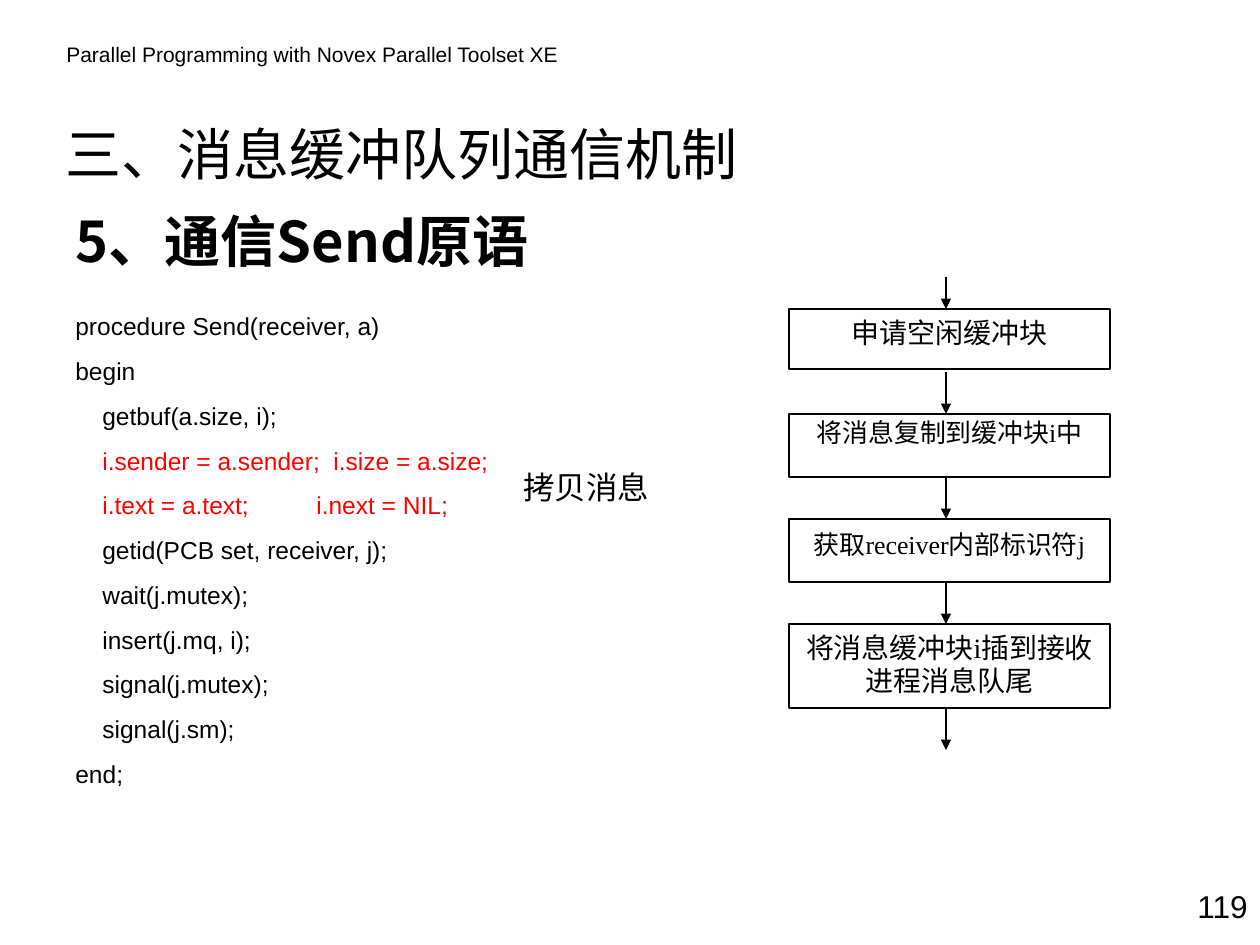
from dataclasses import dataclass
from typing import Optional

from lxml.etree import SubElement
from pptx import Presentation
from pptx.dml.color import RGBColor
from pptx.enum.shapes import MSO_CONNECTOR, MSO_SHAPE
from pptx.enum.text import MSO_ANCHOR, PP_ALIGN
from pptx.oxml.ns import qn
from pptx.util import Emu, Pt

PX_PER_INCH = 126
BLACK, WHITE, RED = "000000", "FFFFFF", "FF0000"
SANS, SERIF, CJK = "Arial", "Times New Roman", "Noto Sans CJK SC"

# Flowchart grid
STEP_LEFT, STEP_WIDTH, STEP_TOP, STEP_PITCH = 789, 321, 309, 105
ARROW_X, ARROW_LENGTH = 946, 42


@dataclass
class Label:
    text: str
    left: int
    top: int
    width: int
    height: int
    size: float
    font: str = SANS
    bold: bool = False
    before: float = 0
    align: PP_ALIGN = PP_ALIGN.LEFT
    anchor: MSO_ANCHOR = MSO_ANCHOR.TOP


@dataclass
class CodeLine:
    text: str
    color: str = BLACK
    stops: tuple[int, ...] = (27,)


@dataclass
class Step:
    text: str
    height: int
    size: float
    spacing: float = 1.0
    fill: Optional[str] = WHITE


LABELS = [
    Label("Parallel Programming with Novex Parallel Toolset XE", 54, 35, 517, 38, 12),
    Label("三、消息缓冲队列通信机制", 53, 106, 714, 95, 32, CJK, anchor=MSO_ANCHOR.MIDDLE),
    Label("5、通信Send原语", 63, 200, 1166, 116, 32, CJK, bold=True, before=8),
    Label("119", 1147, 881, 113, 50, 18, before=11.2, align=PP_ALIGN.RIGHT),
    Label("拷贝消息", 511, 462, 228, 50, 18),
]

CODE = [
    CodeLine("procedure Send(receiver, a)"),
    CodeLine("begin"),
    CodeLine("\tgetbuf(a.size, i);"),
    CodeLine("\ti.sender = a.sender;\ti.size = a.size;", RED, (27, 258)),
    CodeLine("\ti.text = a.text;\ti.next = NIL;", RED, (27, 241)),
    CodeLine("\tgetid(PCB set, receiver, j);"),
    CodeLine("\twait(j.mutex);"),
    CodeLine("\tinsert(j.mq, i);"),
    CodeLine("\tsignal(j.mutex);"),
    CodeLine("\tsignal(j.sm);"),
    CodeLine("end;"),
]

STEPS = [
    Step("申请空闲缓冲块", 60, 16),
    Step("将消息复制到缓冲块i中", 63, 14.8, 0.9),
    Step("获取receiver内部标识符j", 63, 14.8, 1.1, None),
    Step("将消息缓冲块i插到接收进程消息队尾", 84, 16),
]


def px(length: int) -> Emu:
    return Emu(round(length * 914400 / PX_PER_INCH))


def rgb(color: str) -> RGBColor:
    return RGBColor.from_string(color)


def add_span(para, text: str, size: float, font: str, color: str = BLACK, bold: bool = False) -> None:
    span = para.add_run()
    span.text = text
    span.font.size = Pt(size)
    span.font.name = font
    span.font.bold = bold
    span.font.color.rgb = rgb(color)
    SubElement(span.font._element, qn("a:ea"), typeface=CJK)


def add_text_box(page, left: int, top: int, width: int, height: int):
    box = page.shapes.add_textbox(px(left), px(top), px(width), px(height))
    box.text_frame.word_wrap = True
    return box.text_frame


def draw_label(page, label: Label) -> None:
    frame = add_text_box(page, label.left, label.top, label.width, label.height)
    frame.vertical_anchor = label.anchor
    para = frame.paragraphs[0]
    para.alignment = label.align
    para.space_before = Pt(label.before)
    add_span(para, label.text, label.size, label.font, bold=label.bold)


def draw_code(page, lines: list[CodeLine]) -> None:
    frame = add_text_box(page, 63, 305, 756, 490)
    for index, line in enumerate(lines):
        para = frame.add_paragraph() if index else frame.paragraphs[0]
        para.space_before = Pt(8.8)
        tabs = SubElement(para._p.get_or_add_pPr(), qn("a:tabLst"))
        for stop in line.stops:
            SubElement(tabs, qn("a:tab"), pos=str(px(stop)), algn="l")
        add_span(para, line.text, 14, SANS, line.color)


def draw_step(page, step: Step, top: int) -> None:
    box = page.shapes.add_shape(
        MSO_SHAPE.RECTANGLE, px(STEP_LEFT), px(top), px(STEP_WIDTH), px(step.height))
    box.shadow.inherit = False
    if step.fill:
        box.fill.solid()
        box.fill.fore_color.rgb = rgb(step.fill)
    else:
        box.fill.background()
    box.line.color.rgb = rgb(BLACK)
    box.line.width = Pt(0.75)
    frame = box.text_frame
    frame.word_wrap = True
    frame.vertical_anchor = MSO_ANCHOR.TOP
    para = frame.paragraphs[0]
    para.alignment = PP_ALIGN.CENTER
    para.line_spacing = step.spacing
    add_span(para, step.text, step.size, SERIF)


def draw_arrow(page, start: int, end: int) -> None:
    arrow = page.shapes.add_connector(
        MSO_CONNECTOR.STRAIGHT, px(ARROW_X), px(start), px(ARROW_X), px(end))
    arrow.line.color.rgb = rgb(BLACK)
    arrow.line.width = Pt(0.75)
    SubElement(arrow.line._get_or_add_ln(), qn("a:tailEnd"), type="triangle")
    SubElement(arrow._element.spPr, qn("a:effectLst"))


def main() -> None:
    deck = Presentation()
    deck.slide_width, deck.slide_height = px(1260), px(945)
    page = deck.slides.add_slide(deck.slide_layouts[6])

    # Headings, side note and page number
    for label in LABELS:
        draw_label(page, label)

    # Pseudocode
    draw_code(page, CODE)

    # Flowchart: steps on an even pitch, an arrow into each and one out
    tops = [STEP_TOP + index * STEP_PITCH for index in range(len(STEPS))]
    for step, top in zip(STEPS, tops):
        draw_step(page, step, top)
    draw_arrow(page, 277, STEP_TOP)
    exit_end = tops[-1] + STEPS[-1].height + ARROW_LENGTH
    for end in tops[1:] + [exit_end]:
        draw_arrow(page, end - ARROW_LENGTH, end)

    deck.save("out.pptx")


if __name__ == "__main__":
    main()
